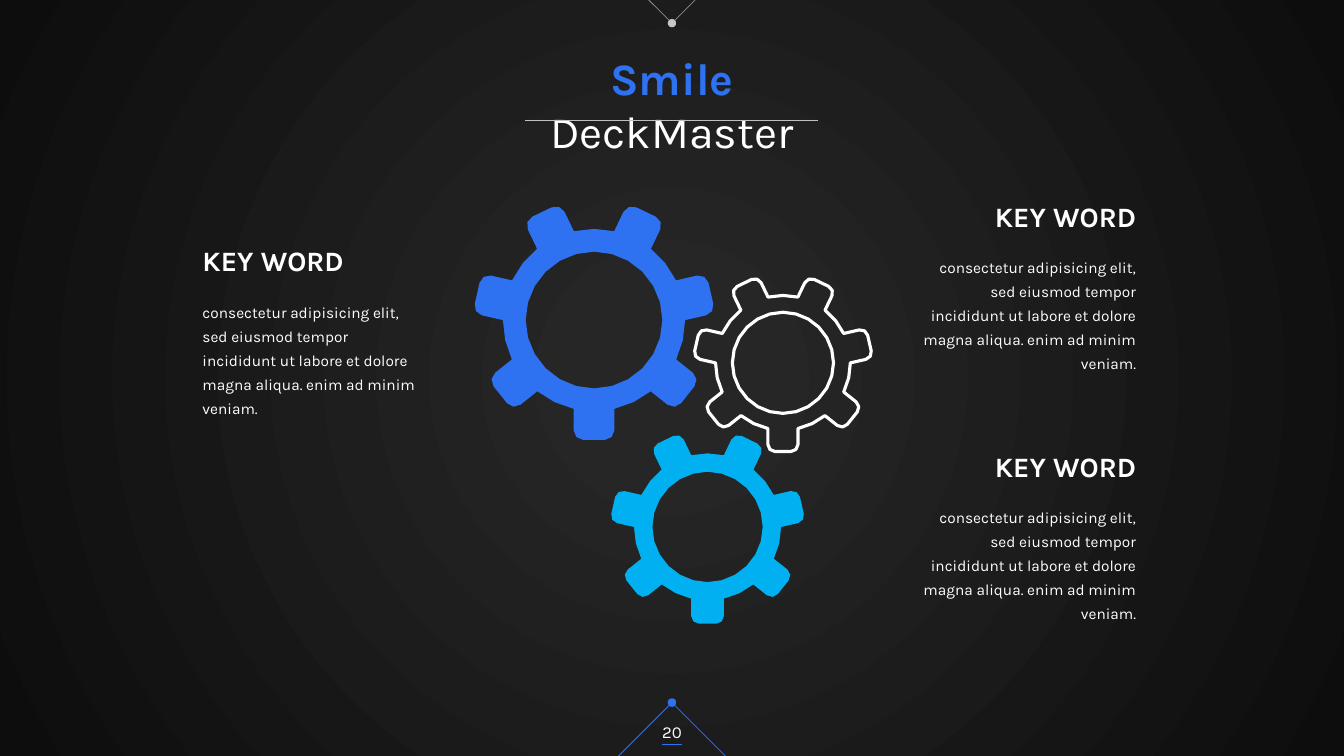
import math
from lxml import etree
from pptx import Presentation
from pptx import util as u
from pptx.dml.color import RGBColor
from pptx.enum import shapes, text
from pptx.oxml import ns

C = {"white": "FFFFFF", "rule": "BFBFBF", "blue": "2E72F1", "cyan": "00B0F0",
     "glow": "262626", "edge": "0D0D0D"}
FONT = "Karla"
TEETH = 7
HOLE, BODY, HALF_TOOTH, CORNER = 0.57, 0.76, 0.17, 0.08
BODY_TEXT = ("consectetur adipisicing elit, sed eiusmod tempor incididunt ut labore "
             "et dolore magna aliqua. enim ad minim veniam.")
LEFT, CENTER, RIGHT = text.PP_ALIGN.LEFT, text.PP_ALIGN.CENTER, text.PP_ALIGN.RIGHT

prs = Presentation()
prs.slide_width, prs.slide_height = u.Inches(13.333), u.Inches(7.5)
COL, ROW = prs.slide_width / 100, prs.slide_height / 100


def place(x, y, w, h):
    return round(x * COL), round(y * ROW), round(w * COL), round(h * ROW)


def rgb(name):
    return RGBColor.from_string(C[name])


def style_run(r, size, color="white", bold=False):
    r.font.name, r.font.size, r.font.bold = FONT, u.Pt(size), bold
    r.font.color.rgb = rgb(color)


def add_text(s, box, words, size, align, bold=False, spacing=1, anchor=text.MSO_ANCHOR.TOP):
    tf = s.shapes.add_textbox(*place(*box)).text_frame
    tf.word_wrap, tf.vertical_anchor = True, anchor
    tf.text = words
    p = tf.paragraphs[0]
    p.alignment, p.line_spacing = align, spacing
    style_run(p.runs[0], size, bold=bold)


def add_line(s, x1, y1, x2, y2, color, dot=False, alpha=None):
    ln = s.shapes.add_connector(shapes.MSO_CONNECTOR.STRAIGHT,
                                *place(x1, y1, x2, y2))
    ln.line.width = u.Pt(0.5)
    ln.line.color.rgb = rgb(color)
    sp_pr = ln.element.spPr
    if alpha:
        clr = sp_pr.find(".//" + ns.qn("a:srgbClr"))
        etree.SubElement(clr, ns.qn("a:alpha"), val=str(alpha * 1000))
    if dot:
        etree.SubElement(sp_pr.find(ns.qn("a:ln")), ns.qn("a:tailEnd"), type="oval")
    etree.SubElement(sp_pr, ns.qn("a:effectLst"))


def add_chevron(s, apex_y, edge_y, half, color, alpha=None):
    for side in (-1, 1):
        add_line(s, 50 + side * half, edge_y, 50, apex_y, color, True, alpha)


def add_backdrop(s):
    sp = s.shapes.add_shape(shapes.MSO_SHAPE.RECTANGLE, *place(0, 0, 100, 100))
    sp.shadow.inherit = False
    sp.line.fill.background()
    sp.fill.gradient()
    for stop, name, at in zip(sp.fill.gradient_stops, ("glow", "edge"), (0.11, 1)):
        stop.color.rgb, stop.position = rgb(name), at
    grad = sp.element.spPr.find(ns.qn("a:gradFill"))
    grad.remove(grad.find(ns.qn("a:lin")))
    circle = etree.SubElement(grad, ns.qn("a:path"), path="circle")
    etree.SubElement(circle, ns.qn("a:fillToRect"), l="50000", t="50000",
                     r="50000", b="50000")
    s.shapes.title.element.addprevious(sp.element)


def add_title(s, box):
    title = s.shapes.title
    title.left, title.top, title.width, title.height = place(*box)
    tf = title.text_frame
    tf.text = "Smile\vDeckMaster"
    tf.word_wrap, tf.auto_size = True, text.MSO_AUTO_SIZE.NONE
    tf.vertical_anchor = text.MSO_ANCHOR.TOP
    p = tf.paragraphs[0]
    p.alignment = CENTER
    style_run(p.runs[0], 32, "blue", True)
    style_run(p.runs[1], 32)


def arc(cx, cy, radius, start, end, steps):
    for i in range(steps + 1):
        a = start + (end - start) * i / steps
        yield cx + radius * math.cos(a), cy + radius * math.sin(a)


def gear_outline():
    pitch = 2 * math.pi / TEETH
    root = math.asin(HALF_TOOTH / BODY)
    shoulder, inset = 1 - CORNER, HALF_TOOTH - CORNER
    tooth = [*arc(shoulder, -inset, CORNER, -math.pi / 2, 0, 2),
             *arc(shoulder, inset, CORNER, 0, math.pi / 2, 2),
             *arc(0, 0, BODY, root, pitch - root, 2)]
    for k in range(TEETH):
        turn = math.pi / 2 + k * pitch
        for x, y in tooth:
            yield (x * math.cos(turn) - y * math.sin(turn),
                   x * math.sin(turn) + y * math.cos(turn))


def add_gear(s, x, y, radius, fill=None):
    def scaled(points):
        return [(round(x * COL + px * radius * COL), round(y * ROW + py * radius * COL))
                for px, py in points]

    rim = scaled(gear_outline())
    hole = scaled(arc(0, 0, HOLE, 2 * math.pi, 0, 24))
    fb = s.shapes.build_freeform(*rim[0])
    fb.add_line_segments(rim[1:])
    fb.move_to(*hole[0])
    fb.add_line_segments(hole[1:-1])
    sp = fb.convert_to_shape()
    sp.shadow.inherit = False
    if fill:
        sp.fill.solid()
        sp.fill.fore_color.rgb = rgb(fill)
        sp.line.fill.background()
    else:
        sp.fill.background()
        sp.line.color.rgb, sp.line.width = rgb("white"), u.Pt(2.25)


def add_keyword(s, x, y, align):
    add_text(s, (x, y + 7.07, 17.93, 14.13), BODY_TEXT, 11, align, spacing=1.3)
    add_text(s, (x, y, 17.93, 5.87), "KEY WORD", 20, align, bold=True)


def add_frame(s):
    add_backdrop(s)
    add_line(s, 39.1, 15.9, 60.9, 15.9, "rule")
    add_chevron(s, 3.07, 0, 1.73, "white", 50)
    add_chevron(s, 92.93, 100, 3.98, "blue")
    add_line(s, 49.27, 98.4, 50.73, 98.4, "blue")
    add_title(s, (36.08, 6, 27.83, 8.53))
    add_text(s, (47.41, 94.13, 5.18, 5.33), "20", 12, CENTER,
             anchor=text.MSO_ANCHOR.MIDDLE)


def main():
    s = prs.slides.add_slide(prs.slide_layouts[5])
    add_frame(s)
    for x, y, radius, fill in ((44.2, 42.33, 8.92, "blue"), (58.26, 48, 6.6, None),
                               (52.65, 69.7, 7.2, "cyan")):
        add_gear(s, x, y, radius, fill)
    for x, y, align in ((14.33, 31.6, LEFT), (67.35, 25.73, RIGHT), (67.35, 58.8, RIGHT)):
        add_keyword(s, x, y, align)
    prs.save("out.pptx")


if __name__ == "__main__":
    main()
